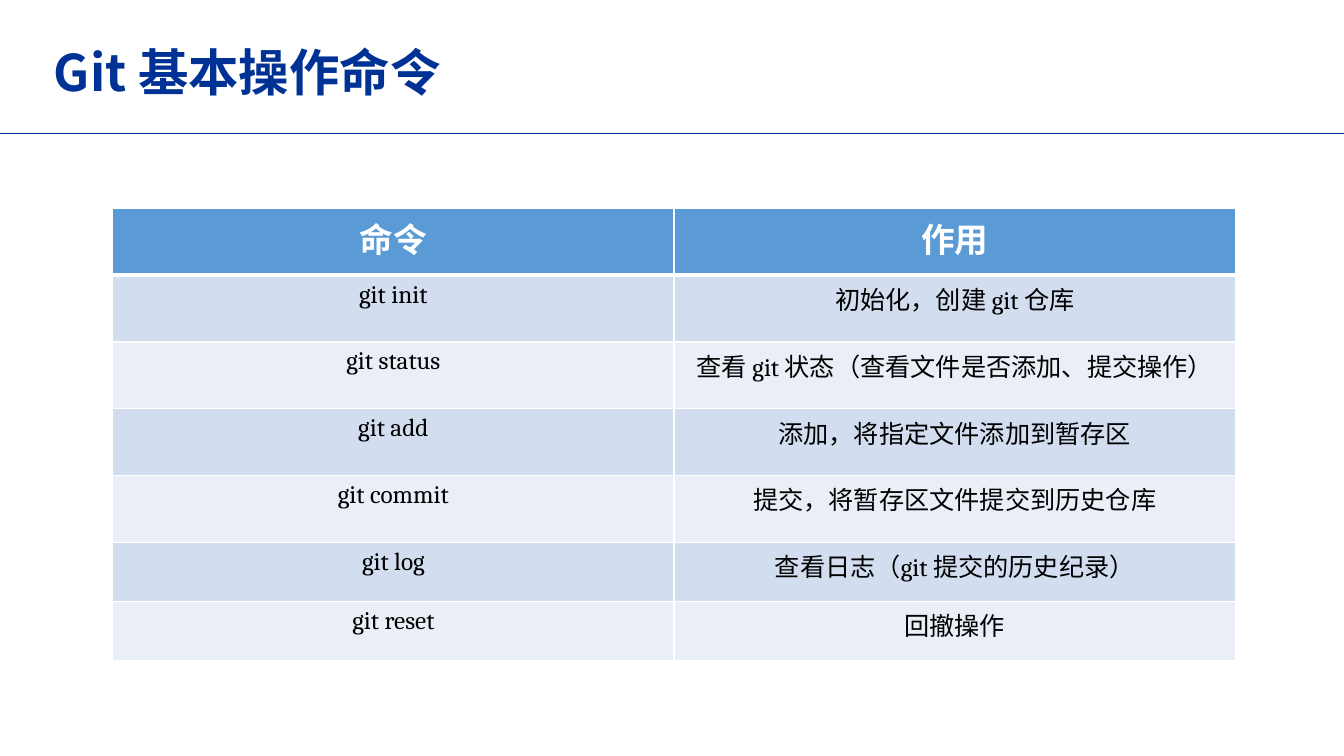
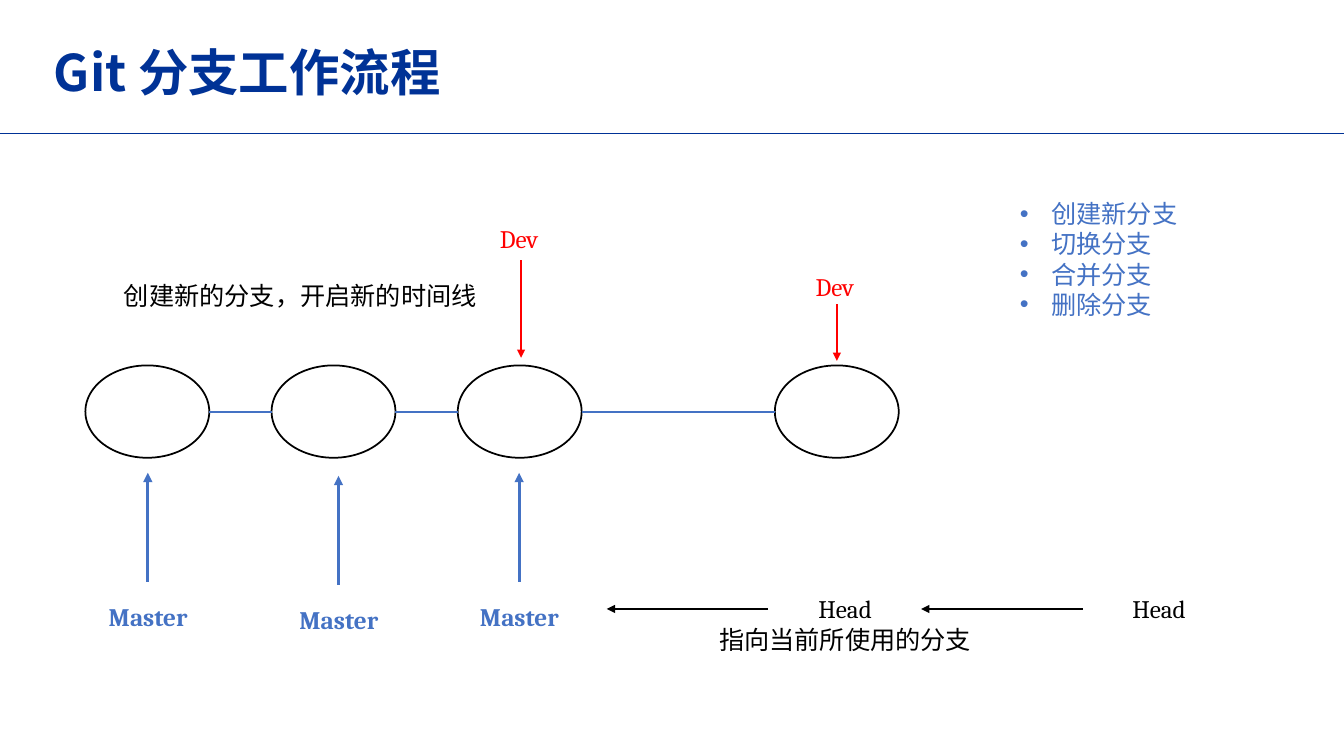
import pptx
import pptx.dml.color
import pptx.enum.shapes
import pptx.enum.text
import pptx.oxml
import pptx.oxml.ns
import pptx.util

Pt = pptx.util.Pt
rgb = pptx.dml.color.RGBColor.from_string
ALIGN = pptx.enum.text.PP_ALIGN
qn = pptx.oxml.ns.qn
NAMESPACE = pptx.oxml.ns.nsdecls("a")

# Shared colours and text formats
NAVY, BLUE, RED, BLACK, WHITE = "003296", "4472C4", "FF0000", "000000", "FFFFFF"
HEADER_FILL, BAND_FILLS = "5B9BD5", ("D2DEEF", "EAEFF7")
CJK_FONT = "Noto Sans CJK SC"
TITLE = {"name": CJK_FONT, "size": Pt(36), "bold": True}
TABLE_HEADER = {"name": "Cambria", "size": Pt(24), "bold": True}
BODY = {"name": "Cambria", "size": Pt(18), "bold": False}
STRONG = {**BODY, "bold": True}


def write_text(frame, lines, color, text_format, alignment=ALIGN.LEFT):
    """Fill a text frame, one paragraph per line."""
    for index, line in enumerate(lines):
        paragraph = frame.paragraphs[0] if index == 0 else frame.add_paragraph()
        paragraph.alignment = alignment
        run = paragraph.add_run()
        run.text = line
        for name, value in text_format.items():
            setattr(run.font, name, value)
        run.font.color.rgb = rgb(color)
        run.font._element.append(
            pptx.oxml.parse_xml(f'<a:ea {NAMESPACE} typeface="{CJK_FONT}"/>'))


def add_line(slide, start, end, color, width, arrow=False):
    """Draw a straight line, with an arrowhead at its end if asked."""
    line = slide.shapes.add_connector(
        pptx.enum.shapes.MSO_CONNECTOR.STRAIGHT,
        Pt(start[0]), Pt(start[1]), Pt(end[0]), Pt(end[1]))
    line.line.color.rgb = rgb(color)
    line.line.width = Pt(width)
    if arrow:
        line.line._get_or_add_ln().append(
            pptx.oxml.parse_xml(f'<a:tailEnd {NAMESPACE} type="triangle"/>'))
    line._element.spPr.append(pptx.oxml.parse_xml(f"<a:effectLst {NAMESPACE}/>"))


presentation = pptx.Presentation()
presentation.slide_width, presentation.slide_height = Pt(960), Pt(540)

# Title and rule on every slide
slides = []
for title in ("Git 基本操作命令", "Git 分支工作流程"):
    slide = presentation.slides.add_slide(presentation.slide_layouts[6])
    add_line(slide, (0, 95.5), (960, 95.5), NAVY, 0.5)
    frame = slide.shapes.add_textbox(Pt(31.5), Pt(31), Pt(828), Pt(46)).text_frame
    frame.word_wrap = True
    frame.vertical_anchor = pptx.enum.text.MSO_ANCHOR.MIDDLE
    write_text(frame, [title], NAVY, TITLE)
    frame.paragraphs[0].line_spacing = 0.9
    slides.append(slide)
command_slide, branch_slide = slides

# Command table
commands = [
    ("命令", "作用"),
    ("git init", "初始化，创建 git 仓库"),
    ("git status", "查看 git 状态（查看文件是否添加、提交操作）"),
    ("git add", "添加，将指定文件添加到暂存区"),
    ("git commit", "提交，将暂存区文件提交到历史仓库"),
    ("git log", "查看日志（git 提交的历史纪录）"),
    ("git reset", "回撤操作"),
]
row_heights = [47.7] * 5 + [42.3] * 2
table = command_slide.shapes.add_table(
    len(commands), 2, Pt(80.5), Pt(149), Pt(802), Pt(sum(row_heights))).table
for column in table.columns:
    column.width = Pt(401)
for row_index, texts in enumerate(commands):
    table.rows[row_index].height = Pt(row_heights[row_index])
    is_header = row_index == 0
    fill = HEADER_FILL if is_header else BAND_FILLS[(row_index - 1) % 2]
    border_widths = {"lnL": 1, "lnR": 1, "lnT": 3 if row_index == 1 else 1,
                     "lnB": 3 if is_header else 1}
    for column_index, text in enumerate(texts):
        cell = table.cell(row_index, column_index)
        write_text(cell.text_frame, [text], WHITE if is_header else BLACK,
                   TABLE_HEADER if is_header else BODY, ALIGN.CENTER)
        properties = cell._tc.get_or_add_tcPr()
        for side, width in border_widths.items():
            properties.append(pptx.oxml.parse_xml(
                f'<a:{side} {NAMESPACE} w="{Pt(width)}"><a:solidFill>'
                f'<a:srgbClr val="{WHITE}"/></a:solidFill></a:{side}>'))
        cell.fill.solid()
        cell.fill.fore_color.rgb = rgb(fill)

# Commits and the lines between them
COMMIT_WIDTH, COMMIT_HEIGHT, COMMIT_TOP = 88.5, 66, 261
commit_middle = COMMIT_TOP + COMMIT_HEIGHT / 2
commit_lefts = [61, 194, 327, 553.5]
for left in commit_lefts:
    commit = branch_slide.shapes.add_shape(
        pptx.enum.shapes.MSO_SHAPE.OVAL,
        Pt(left), Pt(COMMIT_TOP), Pt(COMMIT_WIDTH), Pt(COMMIT_HEIGHT))
    commit.shadow.inherit = False
    commit.fill.background()
    commit.line.color.rgb = rgb(BLACK)
    commit.line.width = Pt(1.25)
for left, next_left in zip(commit_lefts, commit_lefts[1:]):
    add_line(branch_slide, (left + COMMIT_WIDTH, commit_middle),
             (next_left, commit_middle), BLUE, 1.5)

# Branch and head pointers: start, end, colour, width
pointers = [
    ((372.2, 186), (372.2, 255.6), RED, 1.25),
    ((597.8, 217.5), (597.8, 257.8), RED, 1.25),
    ((548.6, 435), (433.4, 435), BLACK, 1.25),
    ((773.3, 435), (658, 435), BLACK, 1.25),
]
# Labels: left, top, width, height, lines, colour, format, alignment
labels = [
    (350, 156.2, 44.6, 29, ["Dev"], RED, BODY, ALIGN.LEFT),
    (575.5, 190, 44.6, 29, ["Dev"], RED, BODY, ALIGN.LEFT),
    (81.4, 197, 269.3, 29, ["创建新的分支，开启新的时间线"], BLACK, BODY, ALIGN.LEFT),
    (505.4, 420.5, 196.6, 51, ["Head", "指向当前所使用的分支"], BLACK, BODY, ALIGN.CENTER),
    (800.6, 420.5, 54.7, 29, ["Head"], BLACK, BODY, ALIGN.CENTER),
]
for x, shift in ((105.6, 0), (241.8, 2.2), (370.8, 0)):
    pointers.append(((x, 415.4 + shift), (x, 337.7 + shift), BLUE, 2.25))
    labels.append((x - 35, 426.2 + shift, 72, 29, ["Master"], BLUE, STRONG, ALIGN.LEFT))
labels.append((721.4, 138.2, 128.2, 94.3,
               ["创建新分支", "切换分支", "合并分支", "删除分支"], BLUE, BODY, ALIGN.LEFT))

for start, end, color, width in pointers:
    add_line(branch_slide, start, end, color, width, arrow=True)
for left, top, width, height, lines, color, text_format, alignment in labels:
    frame = branch_slide.shapes.add_textbox(
        Pt(left), Pt(top), Pt(width), Pt(height)).text_frame
    frame.word_wrap = False
    write_text(frame, lines, color, text_format, alignment)

# Bullets on the last label, the list of branch operations
for paragraph in frame.paragraphs:
    properties = paragraph._p.get_or_add_pPr()
    properties.set("marL", str(Pt(22.5)))
    properties.set("indent", str(-Pt(22.5)))
    properties.append(pptx.oxml.parse_xml(f'<a:buFont {NAMESPACE} typeface="Arial"/>'))
    properties.append(pptx.oxml.parse_xml(f'<a:buChar {NAMESPACE} char="•"/>'))

presentation.save("out.pptx")
